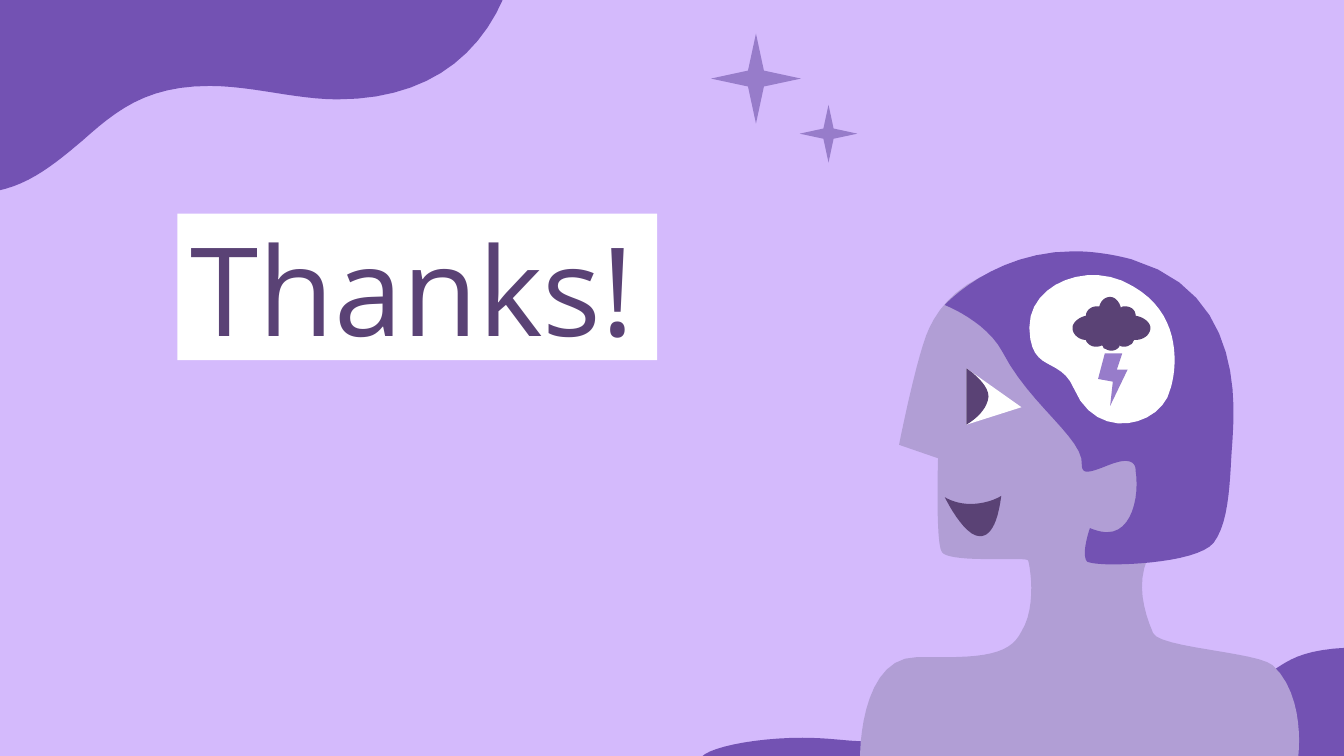
from pptx import Presentation
from pptx.dml.color import RGBColor
from pptx.enum.shapes import MSO_SHAPE
from pptx.enum.text import MSO_ANCHOR, PP_ALIGN
from pptx.util import Inches, Pt

LILAC = RGBColor(0xD4, 0xBA, 0xFC)
VIOLET = RGBColor(0x73, 0x52, 0xB3)
SKIN = RGBColor(0xB1, 0x9E, 0xD5)
PLUM = RGBColor(0x5A, 0x42, 0x75)
LAVENDER = RGBColor(0x97, 0x7C, 0xCA)
WHITE = RGBColor(0xFF, 0xFF, 0xFF)

TITLE = "Thanks!"
TITLE_BOX = (1.32, 1.59, 3.57, 1.09)
STARS = [(5.29, 0.25, 0.67), (5.95, 0.78, 0.43)]
CURVE_STEPS = 12

bottom_wave = [
    (10.03, 5.65), (10.02, 4.82),
    (9.6, 4.84, 9.55, 4.96, 9.37, 5.05),
    (9.04, 5.22, 8.6, 5.25, 8.11, 5.25),
    (7.37, 5.25, 7.35, 5.52, 6.55, 5.52),
    (6.3, 5.52, 6.2, 5.49, 5.97, 5.49),
    (5.6, 5.49, 5.23, 5.57, 5.21, 5.65),
]
top_wave = [
    (-0.02, -0.02), (-0.02, 1.42),
    (0.23, 1.37, 0.42, 1.21, 0.61, 1.05),
    (0.86, 0.83, 1.08, 0.64, 1.56, 0.64),
    (1.88, 0.64, 2.2, 0.74, 2.51, 0.74),
    (3.12, 0.74, 3.54, 0.47, 3.75, -0.02),
]
body = [
    (8.03, 1.92),
    (9.1, 1.92, 9.32, 3.38, 8.76, 3.86),
    (8.42, 4.16, 8.47, 4.45, 8.58, 4.71),
    (8.62, 4.82, 9.35, 4.85, 9.47, 4.95),
    (9.72, 5.18, 9.66, 5.63, 9.66, 5.63),
    (6.4, 5.63),
    (6.4, 5.46, 6.45, 4.89, 6.82, 4.89),
    (6.91, 4.89, 6.97, 4.89, 7.03, 4.89),
    (7.39, 4.89, 7.53, 4.84, 7.6, 4.7),
    (7.72, 4.51, 7.66, 4.19, 7.65, 4.17),
    (7.64, 4.16, 7.59, 4.16, 7.52, 4.16),
    (7.47, 4.16, 7.41, 4.16, 7.34, 4.16),
    (7.2, 4.16, 7.04, 4.15, 7.01, 4.11),
    (6.96, 4.06, 6.98, 3.41, 6.98, 3.41),
    (6.69, 3.31),
    (6.69, 3.31, 6.8, 2.75, 6.89, 2.5),
    (6.98, 2.26, 7.23, 1.92, 8.03, 1.92),
]
hair = [
    (7.99, 1.87),
    (8.12, 1.87, 8.27, 1.89, 8.42, 1.93),
    (9.28, 2.18, 9.18, 3.07, 9.17, 3.29),
    (9.15, 3.51, 9.16, 3.87, 9.03, 4.04),
    (8.93, 4.16, 8.53, 4.2, 8.28, 4.2),
    (8.18, 4.2, 8.11, 4.19, 8.09, 4.18),
    (8.04, 4.13, 8.11, 3.93, 8.11, 3.93),
    (8.16, 3.95, 8.2, 3.96, 8.24, 3.96),
    (8.42, 3.96, 8.48, 3.7, 8.45, 3.5),
    (8.45, 3.45, 8.42, 3.43, 8.37, 3.43),
    (8.29, 3.43, 8.16, 3.51, 8.09, 3.51),
    (8.07, 3.51, 8.05, 3.5, 8.05, 3.46),
    (8.07, 3.27, 7.66, 3.01, 7.46, 2.62),
    (7.34, 2.39, 7.03, 2.27, 7.03, 2.27),
    (7.03, 2.27, 7.39, 1.87, 7.99, 1.87),
]
eye = [(7.19, 2.74), (7.6, 3.03), (7.19, 3.16)]
iris = [
    (7.19, 2.74),
    (7.19, 2.74, 7.39, 2.87, 7.35, 2.98),
    (7.32, 3.09, 7.19, 3.16, 7.19, 3.16),
]
mouth = [
    (7.45, 3.69),
    (7.42, 3.92, 7.36, 3.99, 7.29, 3.99),
    (7.17, 3.99, 7.03, 3.7, 7.03, 3.7),
    (7.1, 3.74, 7.17, 3.75, 7.22, 3.75),
    (7.36, 3.75, 7.45, 3.69, 7.45, 3.69),
]
brain = [
    (8.74, 2.68),
    (8.74, 2.8, 8.71, 2.89, 8.71, 2.89),
    (8.65, 3.17, 8.16, 3.3, 7.99, 2.89),
    (7.89, 2.65, 7.67, 2.78, 7.66, 2.45),
    (7.66, 2.44, 7.66, 2.44, 7.66, 2.43),
    (7.66, 2.11, 8.11, 1.93, 8.43, 2.13),
    (8.69, 2.28, 8.74, 2.51, 8.74, 2.68),
]
cloud = [
    (8.26, 2.21),
    (8.22, 2.21, 8.19, 2.24, 8.18, 2.28),
    (8.18, 2.28, 8.17, 2.28, 8.16, 2.28),
    (8.12, 2.28, 8.08, 2.31, 8.08, 2.35),
    (8.03, 2.36, 7.98, 2.4, 7.98, 2.44),
    (7.98, 2.49, 8.03, 2.53, 8.08, 2.53),
    (8.08, 2.54, 8.09, 2.55, 8.1, 2.56),
    (8.11, 2.57, 8.13, 2.58, 8.15, 2.58),
    (8.17, 2.58, 8.18, 2.58, 8.2, 2.57),
    (8.2, 2.57, 8.21, 2.58, 8.21, 2.59),
    (8.23, 2.6, 8.25, 2.61, 8.27, 2.61),
    (8.29, 2.61, 8.31, 2.6, 8.32, 2.59),
    (8.33, 2.58, 8.33, 2.58, 8.33, 2.57),
    (8.34, 2.58, 8.35, 2.58, 8.37, 2.58),
    (8.39, 2.58, 8.4, 2.57, 8.42, 2.56),
    (8.43, 2.55, 8.43, 2.54, 8.44, 2.53),
    (8.45, 2.53),
    (8.51, 2.53, 8.56, 2.49, 8.56, 2.44),
    (8.56, 2.4, 8.51, 2.36, 8.45, 2.35),
    (8.45, 2.31, 8.42, 2.28, 8.37, 2.28),
    (8.36, 2.28, 8.35, 2.28, 8.34, 2.29),
    (8.33, 2.25, 8.3, 2.21, 8.26, 2.21),
]
bolt = [(8.22, 2.63), (8.17, 2.82), (8.28, 2.84), (8.26, 3.02),
        (8.39, 2.75), (8.31, 2.75), (8.35, 2.63)]

OUTLINES = [
    (bottom_wave, VIOLET), (top_wave, VIOLET), (body, SKIN), (hair, VIOLET),
    (eye, WHITE), (iris, PLUM), (mouth, PLUM), (brain, WHITE),
    (cloud, PLUM), (bolt, LAVENDER),
]


def trace(outline):
    points = [outline[0]]
    for step in outline[1:]:
        if len(step) == 2:
            points.append(step)
            continue
        start, first, second, end = points[-1], step[:2], step[2:4], step[4:]
        for i in range(1, CURVE_STEPS + 1):
            t = i / CURVE_STEPS
            u = 1 - t
            points.append(tuple(
                u**3 * a + 3 * u * u * t * b + 3 * u * t * t * c + t**3 * d
                for a, b, c, d in zip(start, first, second, end)))
    return [(Inches(x), Inches(y)) for x, y in points]


def paint(shape, color):
    shape.shadow.inherit = False
    shape.fill.solid()
    shape.fill.fore_color.rgb = color
    shape.line.fill.background()


prs = Presentation()
prs.slide_width = Inches(10)
prs.slide_height = Inches(10) * 9 // 16
slide = prs.slides.add_slide(prs.slide_layouts[6])
slide.background.fill.solid()
slide.background.fill.fore_color.rgb = LILAC

for outline, color in OUTLINES:
    points = trace(outline)
    builder = slide.shapes.build_freeform(*points[0])
    builder.add_line_segments(points[1:], close=True)
    paint(builder.convert_to_shape(), color)

for left, top, size in STARS:
    star = slide.shapes.add_shape(
        MSO_SHAPE.STAR_4_POINT, Inches(left), Inches(top), Inches(size), Inches(size))
    star.adjustments[0] = 0.125
    paint(star, LAVENDER)

title = slide.shapes.add_shape(MSO_SHAPE.RECTANGLE, *map(Inches, TITLE_BOX))
paint(title, WHITE)
frame = title.text_frame
frame.word_wrap = True
frame.vertical_anchor = MSO_ANCHOR.MIDDLE
frame.margin_left = frame.margin_right = Inches(0.1)
frame.margin_top = frame.margin_bottom = Inches(0.1)
frame.paragraphs[0].alignment = PP_ALIGN.LEFT
run = frame.paragraphs[0].add_run()
run.text = TITLE
run.font.name = "Open Sans"
run.font.size = Pt(66)
run.font.color.rgb = PLUM

prs.save("out.pptx")
